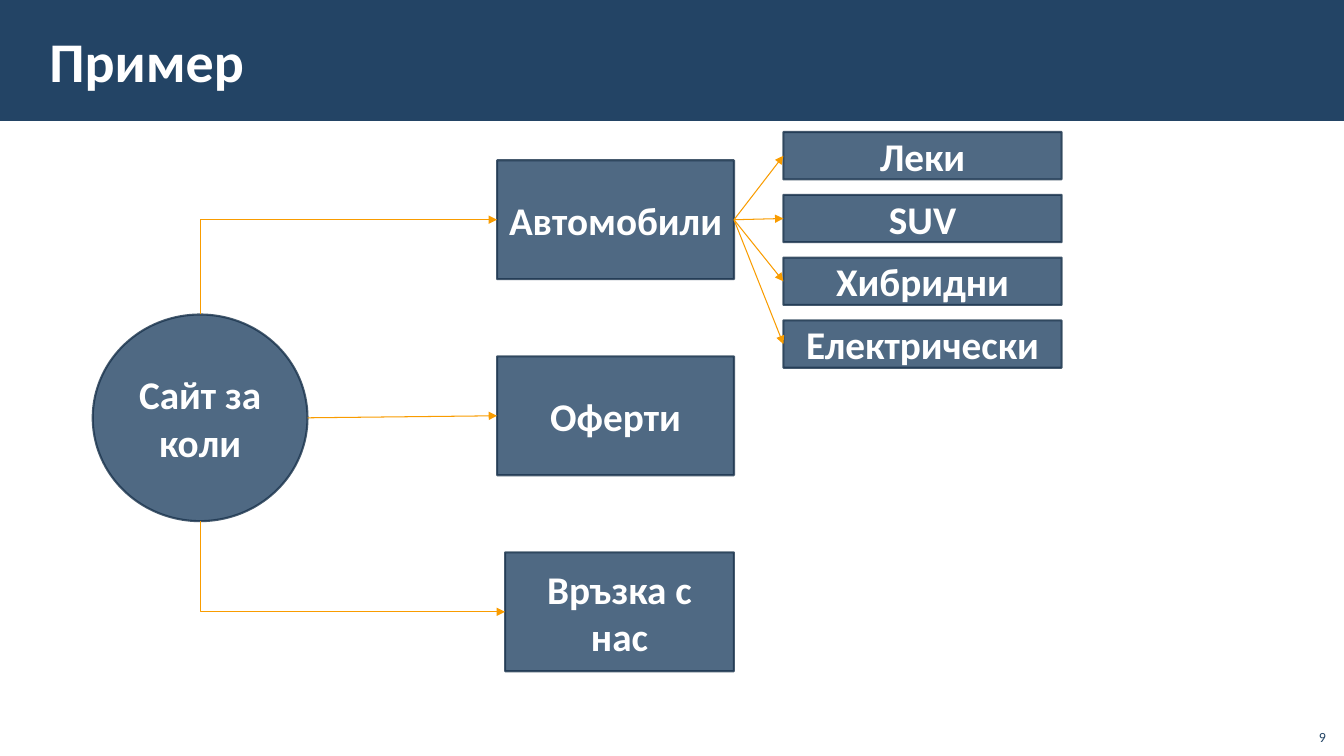
import pptx
import pptx.util
import pptx.dml.color
import pptx.enum.shapes
import pptx.enum.text
import pptx.oxml.ns
from dataclasses import dataclass
from lxml import etree

Inches = pptx.util.Inches
SHAPE = pptx.enum.shapes.MSO_SHAPE
CONNECTOR = pptx.enum.shapes.MSO_CONNECTOR
ALIGN = pptx.enum.text.PP_ALIGN
ANCHOR = pptx.enum.text.MSO_ANCHOR
qn = pptx.oxml.ns.qn

# Content
TITLE = "Пример"
PAGE_NUMBER = "9"
ROOT = "Сайт за коли"
SECTIONS = [("Автомобили", 4.93), ("Оферти", 4.93), ("Връзка с нас", 5.01)]
CAR_TYPES = ["Леки", "SUV", "Хибридни", "Електрически"]

# Layout, in inches
ROOT_BOX = (0.92, 3.12, 2.13, 2.05)
SECTION_TOP, SECTION_STEP, SECTION_HEIGHT, SECTION_RIGHT = 1.59, 1.945, 1.18, 7.28
TYPE_LEFT, TYPE_TOP, TYPE_STEP, TYPE_WIDTH, TYPE_HEIGHT = 7.77, 1.31, 0.623, 2.76, 0.47


@dataclass(frozen=True)
class Theme:
    font: str = "Calibri"
    navy: str = "234465"
    outline: str = "1A334C"
    arrow: str = "F99C00"
    white: str = "FFFFFF"
    opacity: int = 80
    title_size: int = 40
    node_size: int = 28
    number_size: int = 10
    outline_width: float = 1.5
    arrow_width: float = 0.75


THEME = Theme()


def rgb(value):
    return pptx.dml.color.RGBColor.from_string(value)


def write(shape, text, size, color=THEME.white, bold=False, align=ALIGN.LEFT,
          anchor=ANCHOR.MIDDLE, insets=(0.1, 0.05)):
    frame = shape.text_frame
    frame.word_wrap = True
    frame.vertical_anchor = anchor
    frame.margin_left = frame.margin_right = Inches(insets[0])
    frame.margin_top = frame.margin_bottom = Inches(insets[1])
    para = frame.paragraphs[0]
    para.alignment = align
    span = para.add_run()
    span.text = text
    span.font.name = THEME.font
    span.font.size = pptx.util.Pt(size)
    span.font.bold = bold
    span.font.color.rgb = rgb(color)


def add_block(page, kind, box):
    shape = page.shapes.add_shape(kind, *map(Inches, box))
    shape.shadow.inherit = False
    shape.fill.solid()
    shape.fill.fore_color.rgb = rgb(THEME.navy)
    return shape


def add_node(page, kind, box, text):
    shape = add_block(page, kind, box)
    shape.line.color.rgb = rgb(THEME.outline)
    shape.line.width = pptx.util.Pt(THEME.outline_width)
    # Same transparency on fill and outline
    for color in shape._element.spPr.iter(qn("a:srgbClr")):
        etree.SubElement(color, qn("a:alpha"), val=str(THEME.opacity * 1000))
    write(shape, text, THEME.node_size, bold=True, align=ALIGN.CENTER)
    return shape


def add_arrow(page, kind, start, end):
    points = [round(value) for value in (*start, *end)]
    arrow = page.shapes.add_connector(kind, *points)
    arrow.line.color.rgb = rgb(THEME.arrow)
    arrow.line.width = pptx.util.Pt(THEME.arrow_width)
    etree.SubElement(arrow.line._get_or_add_ln(), qn("a:tailEnd"), type="triangle")
    etree.SubElement(arrow._element.spPr, qn("a:effectLst"))
    return arrow


def add_corner_arrow(page, start, end):
    """Go vertically from start, then horizontally to end."""
    (x1, y1), (x2, y2) = start, end
    middle_x, middle_y = (x1 + x2) / 2, (y1 + y2) / 2
    half_rise = abs(y2 - y1) / 2
    half_run = (x2 - x1) / 2 * (1 if y2 < y1 else -1)
    arrow = add_arrow(page, CONNECTOR.ELBOW,
                      (middle_x + half_rise, middle_y + half_run),
                      (middle_x - half_rise, middle_y - half_run))
    properties = arrow._element.spPr
    quarter_turns = 1 if y2 < y1 else 3
    properties.find(qn("a:xfrm")).set("rot", str(quarter_turns * 5400000))
    properties.find(qn("a:prstGeom")).set("prst", "bentConnector2")


def left_middle(shape):
    return shape.left, shape.top + shape.height / 2


def right_middle(shape):
    return shape.left + shape.width, shape.top + shape.height / 2


def main():
    deck = pptx.Presentation()
    deck.slide_width, deck.slide_height = Inches(13.33), Inches(7.5)
    page = deck.slides.add_slide(deck.slide_layouts[6])

    # Title band
    band = add_block(page, SHAPE.RECTANGLE, (0, 0, 13.33, 1.2))
    band.line.fill.background()
    title = page.shapes.add_textbox(*map(Inches, (0.37, 0.11, 10.71, 0.97)))
    write(title, TITLE, THEME.title_size, bold=True, insets=(0.12, 0.04))

    # Site map nodes
    root = add_node(page, SHAPE.OVAL, ROOT_BOX, ROOT)
    sections = [
        add_node(page, SHAPE.RECTANGLE,
                 (left, SECTION_TOP + row * SECTION_STEP,
                  SECTION_RIGHT - left, SECTION_HEIGHT), text)
        for row, (text, left) in enumerate(SECTIONS)]
    car_types = [
        add_node(page, SHAPE.RECTANGLE,
                 (TYPE_LEFT, TYPE_TOP + row * TYPE_STEP, TYPE_WIDTH, TYPE_HEIGHT), text)
        for row, text in enumerate(CAR_TYPES)]

    # Arrows from the site to its sections
    cars, offers, contact = sections
    root_middle = root.left + root.width / 2
    add_corner_arrow(page, (root_middle, root.top), left_middle(cars))
    add_arrow(page, CONNECTOR.STRAIGHT, right_middle(root), left_middle(offers))
    add_corner_arrow(page, (root_middle, root.top + root.height), left_middle(contact))

    # Arrows from the cars to their types
    for car_type in car_types:
        arrow = add_arrow(page, CONNECTOR.STRAIGHT, right_middle(cars), left_middle(car_type))
        arrow.begin_connect(cars, 3)
        arrow.end_connect(car_type, 1)

    # Page number
    number = page.shapes.add_textbox(*map(Inches, (12.85, 7.12, 0.4, 0.32)))
    write(number, PAGE_NUMBER, THEME.number_size, color=THEME.navy,
          align=ALIGN.RIGHT, anchor=ANCHOR.BOTTOM)

    deck.save("out.pptx")


if __name__ == "__main__":
    main()
